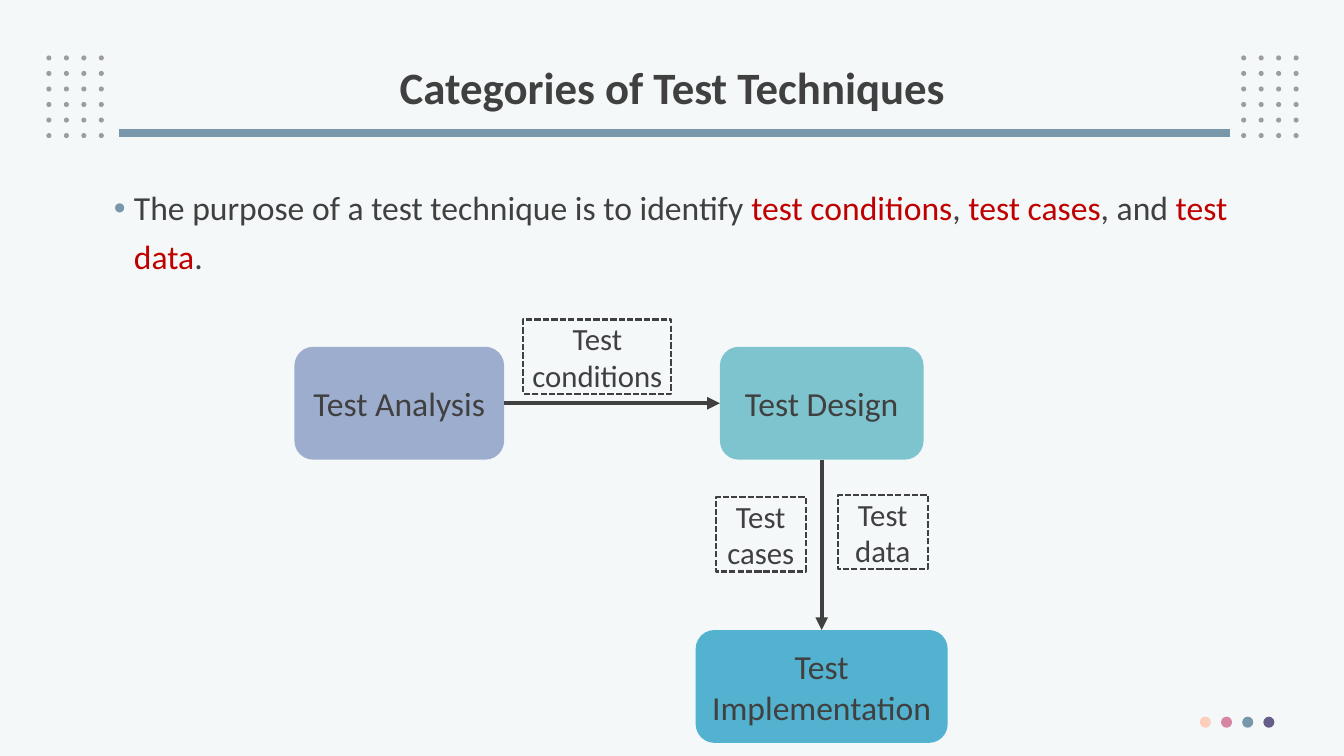
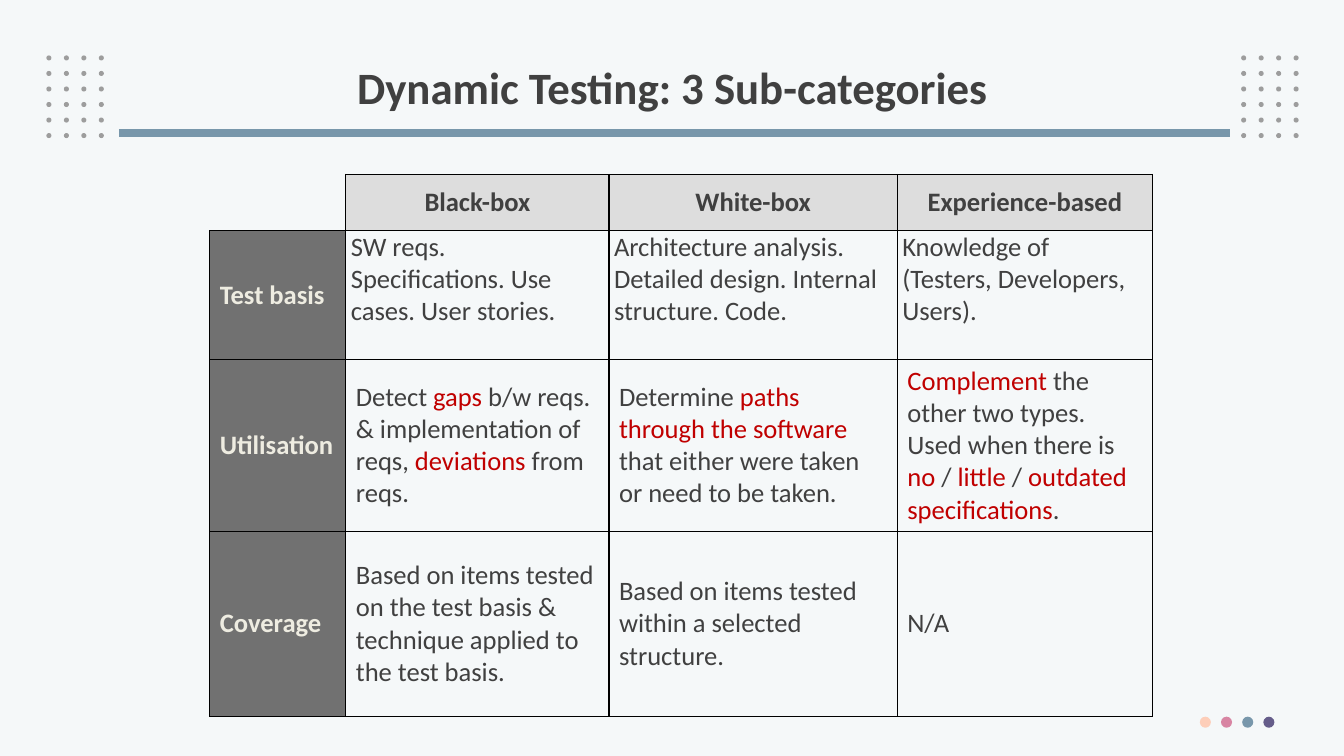
from lxml import etree
from pptx import Presentation
from pptx.dml.color import RGBColor
from pptx.enum.dml import MSO_LINE
from pptx.enum.shapes import MSO_CONNECTOR, MSO_SHAPE
from pptx.enum.text import MSO_ANCHOR, PP_ALIGN
from pptx.oxml.ns import qn
from pptx.util import Inches, Pt

ELLIPSE, RECTANGLE = MSO_SHAPE.OVAL, MSO_SHAPE.RECTANGLE
ROUNDED, STRAIGHT = MSO_SHAPE.ROUNDED_RECTANGLE, MSO_CONNECTOR.STRAIGHT
DASHED = MSO_LINE.SQUARE_DOT
LEFT, CENTER = PP_ALIGN.LEFT, PP_ALIGN.CENTER
TOP, MIDDLE = MSO_ANCHOR.TOP, MSO_ANCHOR.MIDDLE
TOP_SITE, LEFT_SITE, BOTTOM_SITE, RIGHT_SITE = range(4)

FONT = "Calibri"
COLORS = {
    "background": "F5F8F9", "text": "404040", "accent": "C00000",
    "dot": "9D9D9D", "rule": "7897AB", "peach": "FDCEB9",
    "pink": "D885A3", "purple": "655D8A", "analysis": "9CADCE",
    "design": "7EC4CF", "implementation": "52B2CF", "border": "000000",
    "column_head": "DDDDDD", "row_head": "717171", "row_head_text": "EEECE1",
}
TITLE = {"size": Pt(32), "bold": True}
BODY = {"size": Pt(24), "bold": False}
LABEL = {"size": Pt(22), "bold": False}
CELL = {"size": Pt(19), "bold": False}
HEAD = {"size": Pt(19), "bold": True}

# Table content: asterisks enclose accented words
COLUMN_HEADS = ["Black-box", "White-box", "Experience-based"]
ROWS = [
    ("Test basis",
     ["SW reqs. Specifications. Use cases. User stories."],
     ["Architecture analysis. Detailed design. Internal structure. Code."],
     ["Knowledge of", "(Testers, Developers, Users)."]),
    ("Utilisation",
     ["Detect *gaps* b/w reqs. & implementation of reqs, *deviations* from reqs."],
     ["Determine *paths through the software *that either were taken "
      "or need to be taken."],
     ["*Complement* the other two types.",
      "Used when there is *no* / *little* / *outdated specifications*."]),
    ("Coverage",
     ["Based on items tested on the test basis & technique applied "
      "to the test basis."],
     ["Based on items tested within a selected structure."],
     ["N/A"]),
]
COLUMN_WIDTHS = [1.35, 2.61, 2.86, 2.53]
ROW_HEIGHTS = [0.56, 1.28, 1.7, 1.84]


def rgb(name):
    return RGBColor.from_string(COLORS[name])


def apply_values(target, values):
    for name, value in values.items():
        setattr(target, name, value)


# Text
def write_text(frame, lines, font_values, color="text", align=LEFT, spacing=1.0):
    """Write one paragraph per line; words between asterisks get the accent."""
    frame.word_wrap = True
    for index, line in enumerate(lines):
        paragraph = frame.add_paragraph() if index else frame.paragraphs[0]
        apply_values(paragraph, {"alignment": align, "line_spacing": spacing})
        for position, part in enumerate(line.split("*")):
            if part:
                run = paragraph.add_run()
                run.text = part
                apply_values(run.font, {"name": FONT, **font_values})
                run.font.color.rgb = rgb("accent" if position % 2 else color)


def add_text_box(slide, area, lines, font_values, anchor=TOP, **options):
    frame = slide.shapes.add_textbox(*map(Inches, area)).text_frame
    frame.vertical_anchor = anchor
    write_text(frame, lines, font_values, **options)
    return frame


def add_bullet(paragraph):
    properties = paragraph._p.get_or_add_pPr()
    properties.set("marL", str(Inches(0.2)))
    properties.set("indent", str(Inches(-0.2)))
    color = etree.SubElement(properties, qn("a:buClr"))
    etree.SubElement(color, qn("a:srgbClr"), val=COLORS["rule"])
    etree.SubElement(properties, qn("a:buFont"), typeface="Arial")
    etree.SubElement(properties, qn("a:buChar"), char="•")


# Shapes and lines
def add_filled_shape(shapes, kind, area, fill):
    shape = shapes.add_shape(kind, *map(Inches, area))
    shape.shadow.inherit = False
    shape.fill.solid()
    shape.fill.fore_color.rgb = rgb(fill)
    shape.line.fill.background()
    return shape


def add_step(slide, area, text, fill):
    shape = add_filled_shape(slide.shapes, ROUNDED, area, fill)
    write_text(shape.text_frame, [text], BODY, align=CENTER)
    return shape


def add_dashed_label(slide, area, text):
    shape = slide.shapes.add_shape(RECTANGLE, *map(Inches, area))
    shape.shadow.inherit = False
    shape.fill.background()
    shape.line.color.rgb = rgb("text")
    apply_values(shape.line, {"width": Pt(1.5), "dash_style": DASHED})
    apply_values(shape.text_frame, {
        "margin_left": Inches(0.04), "margin_right": Inches(0.04),
        "margin_top": 0, "margin_bottom": 0})
    write_text(shape.text_frame, [text], LABEL, align=CENTER)


def add_line(slide, ends, color, width):
    line = slide.shapes.add_connector(STRAIGHT, *map(Inches, ends))
    line.line.color.rgb = rgb(color)
    line.line.width = Pt(width)
    etree.SubElement(line._element.spPr, qn("a:effectLst"))
    return line


def add_arrow(slide, start, start_site, end, end_site):
    arrow = add_line(slide, (0, 0, 1, 1), "text", 3)
    arrow.begin_connect(start, start_site)
    arrow.end_connect(end, end_site)
    etree.SubElement(arrow.line._get_or_add_ln(), qn("a:tailEnd"), type="triangle")


# Frame shared by all slides
def add_dot_grid(slide, left):
    shapes = slide.shapes.add_group_shape().shapes
    for row in range(6):
        for column in range(4):
            area = (left + column * 0.52 / 3, 0.55 + row * 0.77 / 5, 0.05, 0.05)
            add_filled_shape(shapes, ELLIPSE, area, "dot")


def add_base_slide(presentation, title):
    slide = presentation.slides.add_slide(presentation.slide_layouts[6])
    slide.background.fill.solid()
    slide.background.fill.fore_color.rgb = rgb("background")
    for left in (0.46, 12.31):
        add_dot_grid(slide, left)
    add_line(slide, (1.18, 1.32, 12.2, 1.32), "rule", 5.25)
    shapes = slide.shapes.add_group_shape().shapes
    for index, color in enumerate(("peach", "pink", "rule", "purple")):
        area = (11.9 + index * 0.21, 7.11, 0.11, 0.11)
        add_filled_shape(shapes, ELLIPSE, area, color)
    add_text_box(slide, (0.92, 0.4, 11.5, 0.98), [title], TITLE,
                 anchor=MIDDLE, align=CENTER, spacing=0.9)
    return slide


# Table
def set_borders(cell, visible):
    properties = cell._tc.get_or_add_tcPr()
    for side in "LRTB":
        line = etree.SubElement(properties, qn(f"a:ln{side}"), w=str(Pt(1)))
        if side in visible:
            fill = etree.SubElement(line, qn("a:solidFill"))
            etree.SubElement(fill, qn("a:srgbClr"), val=COLORS["border"])
        else:
            etree.SubElement(line, qn("a:noFill"))


def fill_cell(cell, lines, font_values=CELL, fill=None, borders="LRTB", **options):
    set_borders(cell, borders)
    if fill:
        cell.fill.solid()
        cell.fill.fore_color.rgb = rgb(fill)
    else:
        cell.fill.background()
    cell.vertical_anchor = MIDDLE
    write_text(cell.text_frame, lines, font_values, **options)


def add_category_table(slide):
    area = (2.08, 1.73, sum(COLUMN_WIDTHS), sum(ROW_HEIGHTS))
    table = slide.shapes.add_table(
        len(ROW_HEIGHTS), len(COLUMN_WIDTHS), *map(Inches, area)).table
    apply_values(table, {"first_row": False, "horz_banding": False})
    for column, width in zip(table.columns, COLUMN_WIDTHS):
        column.width = Inches(width)
    for row, height in zip(table.rows, ROW_HEIGHTS):
        row.height = Inches(height)

    fill_cell(table.cell(0, 0), [], borders="RB")
    for column, head in enumerate(COLUMN_HEADS, 1):
        fill_cell(table.cell(0, column), [head], HEAD, "column_head", align=CENTER)
    for row, (head, *contents) in enumerate(ROWS, 1):
        fill_cell(table.cell(row, 0), [head], HEAD, "row_head",
                  color="row_head_text")
        for column, lines in enumerate(contents, 1):
            fill_cell(table.cell(row, column), lines)

    # The test basis texts sit at the top with tight margins
    for column in range(1, len(COLUMN_WIDTHS)):
        apply_values(table.cell(1, column), {
            "vertical_anchor": TOP, "margin_top": 0, "margin_bottom": 0,
            "margin_left": Inches(0.05), "margin_right": Inches(0.05)})


# Slides
def add_techniques_slide(presentation):
    slide = add_base_slide(presentation, "Categories of Test Techniques")
    purpose = ("The purpose of a test technique is to identify *test conditions*, "
               "*test cases*, and *test data*.")
    frame = add_text_box(slide, (1.03, 1.73, 11.39, 1.2), [purpose], BODY,
                         spacing=1.2)
    frame.paragraphs[0].space_before = Pt(8.2)
    add_bullet(frame.paragraphs[0])

    analysis = add_step(slide, (2.92, 3.44, 2.08, 1.12), "Test Analysis", "analysis")
    design = add_step(slide, (7.14, 3.44, 2.02, 1.12), "Test Design", "design")
    implementation = add_step(slide, (6.9, 6.25, 2.5, 1.12),
                              "Test Implementation", "implementation")
    add_arrow(slide, analysis, RIGHT_SITE, design, LEFT_SITE)
    add_arrow(slide, design, BOTTOM_SITE, implementation, TOP_SITE)
    for left, top, width, text in ((5.19, 3.17, 1.47, "Test conditions"),
                                   (7.1, 4.93, 0.89, "Test cases"),
                                   (8.31, 4.91, 0.89, "Test data")):
        add_dashed_label(slide, (left, top, width, 0.74), text)


def main():
    presentation = Presentation()
    presentation.slide_width = Inches(13.33)
    presentation.slide_height = Inches(7.5)
    add_techniques_slide(presentation)
    add_category_table(
        add_base_slide(presentation, "Dynamic Testing: 3 Sub-categories"))
    presentation.save("out.pptx")


if __name__ == "__main__":
    main()
